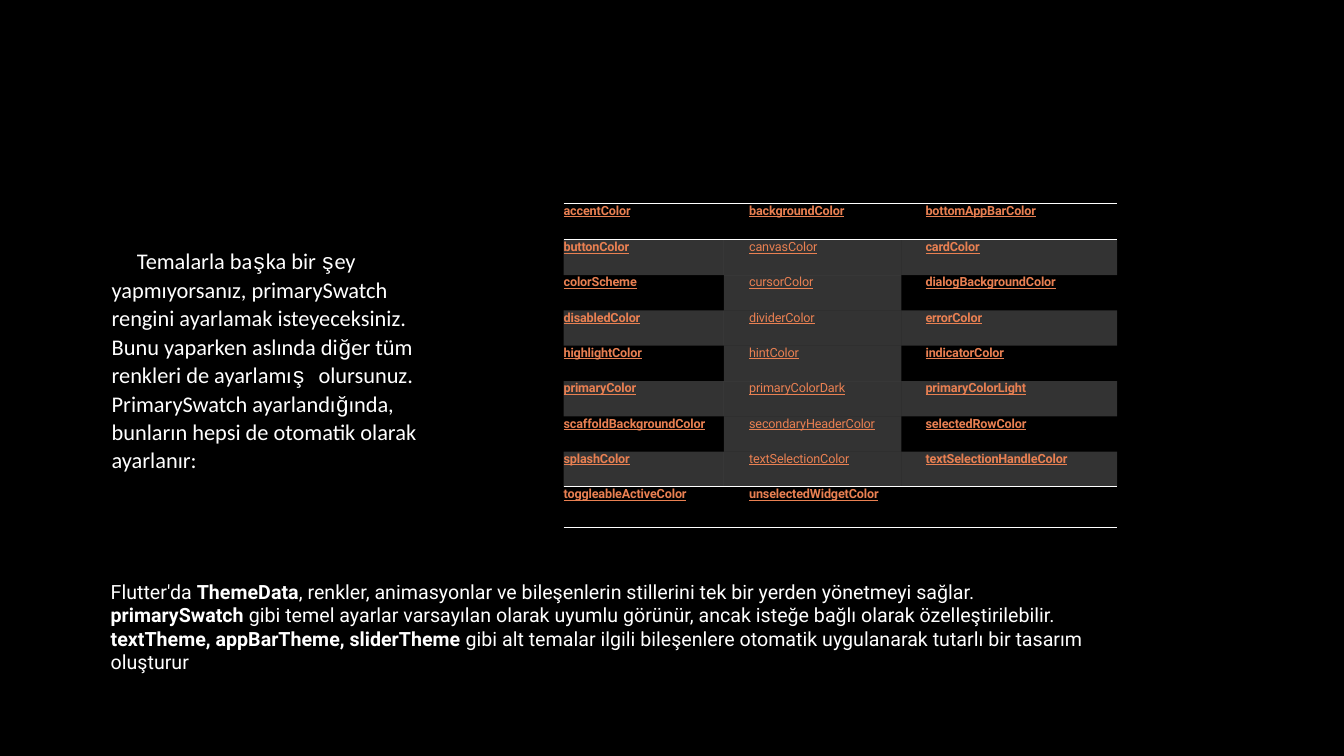
from lxml import etree
from pptx import Presentation
from pptx.dml.color import RGBColor
from pptx.oxml.ns import qn
from pptx.util import Inches, Pt

WHITE = RGBColor(0xFF, 0xFF, 0xFF)
BLACK = RGBColor(0, 0, 0)
ORANGE = RGBColor(0xE9, 0x80, 0x52)
NO_TABLE_STYLE = "{2D5ABB26-0587-4C30-8999-92F81FD0307C}"

COLOR_NAMES = [
    ("accentColor", "backgroundColor", "bottomAppBarColor"),
    ("buttonColor", "canvasColor", "cardColor"),
    ("colorScheme", "cursorColor", "dialogBackgroundColor"),
    ("disabledColor", "dividerColor", "errorColor"),
    ("highlightColor", "hintColor", "indicatorColor"),
    ("primaryColor", "primaryColorDark", "primaryColorLight"),
    ("scaffoldBackgroundColor", "secondaryHeaderColor", "selectedRowColor"),
    ("splashColor", "textSelectionColor", "textSelectionHandleColor"),
    ("toggleableActiveColor", "unselectedWidgetColor", ""),
]
COLUMN_WIDTHS = (1.59, 1.76, 2.14)
COLUMN_INDENTS = (0, 0.25, 0.24)
ROW_HEIGHTS = [0.36] + [0.35] * 7 + [0.4]

# Odd pieces are set in Courier New
SWATCH_PIECES = (
    "Temalarla ba", "ş", "ka bir ", "ş",
    "ey yapmıyorsanız, primarySwatch rengini ayarlamak isteyeceksiniz. "
    "Bunu yaparken aslında di", "ğ", "er tüm renkleri de ayarlamı", "ş ",
    "olursunuz. PrimarySwatch ayarlandı", "ğ",
    "ında, bunların hepsi de otomatik olarak ayarlanır:",
)
# Odd pieces are bold
THEME_PIECES = (
    "Flutter'da ", "ThemeData",
    ", renkler, animasyonlar ve bileşenlerin stillerini tek bir yerden yönetmeyi sağlar. ",
    "primarySwatch",
    " gibi temel ayarlar varsayılan olarak uyumlu görünür, ancak isteğe bağlı olarak özelleştirilebilir. ",
    "textTheme, appBarTheme, sliderTheme",
    " gibi alt temalar ilgili bileşenlere otomatik uygulanarak tutarlı bir tasarım oluşturur",
)


def add_paragraph_box(slide, box, pieces, size):
    """Add a wrapped white text box; return its paragraph."""
    frame = slide.shapes.add_textbox(*map(Inches, box)).text_frame
    frame.word_wrap = True
    paragraph = frame.paragraphs[0]
    paragraph.font.size = Pt(size)
    paragraph.font.color.rgb = WHITE
    for piece in pieces:
        paragraph.add_run().text = piece
    return paragraph


def add_rules(cell):
    """Draw white lines above and below a cell."""
    properties = cell._tc.get_or_add_tcPr()
    for side in ("a:lnT", "a:lnB"):
        line = etree.SubElement(properties, qn(side), w=str(Pt(1)))
        fill = etree.SubElement(line, qn("a:solidFill"))
        etree.SubElement(fill, qn("a:srgbClr"), val=str(WHITE))


def shade(cell):
    """Fill a cell with white at 20 % opacity."""
    cell.fill.solid()
    cell.fill.fore_color.rgb = WHITE
    color = cell._tc.tcPr.find(".//" + qn("a:srgbClr"))
    etree.SubElement(color, qn("a:alpha"), val="20000")


def write_name(cell, name, indent, bold, space_before):
    cell.margin_left = cell.margin_right = cell.margin_top = cell.margin_bottom = 0
    paragraph = cell.text_frame.paragraphs[0]
    paragraph.space_before = Pt(space_before)
    font = paragraph.font
    font.name, font.size = "Roboto", Pt(9)
    font.bold, font.underline = bold, True
    font.color.rgb = ORANGE
    properties = paragraph._p.pPr
    properties.set("marL", str(Inches(indent)))
    properties.find(qn("a:defRPr")).set("spc", "-10")
    if name:
        paragraph.add_run().text = name


def add_color_table(slide):
    last = len(COLOR_NAMES) - 1
    frame = slide.shapes.add_table(
        len(COLOR_NAMES), len(COLUMN_WIDTHS), Inches(5.59), Inches(2.02),
        Inches(sum(COLUMN_WIDTHS)), Inches(sum(ROW_HEIGHTS)))
    table = frame.table
    table.first_row = table.horz_banding = False
    table._tbl.tblPr.find(qn("a:tableStyleId")).text = NO_TABLE_STYLE
    for column, width in zip(table.columns, COLUMN_WIDTHS):
        column.width = Inches(width)
    for row, height in zip(table.rows, ROW_HEIGHTS):
        row.height = Inches(height)
    for r, names in enumerate(COLOR_NAMES):
        edge_row = r in (0, last)
        for c, name in enumerate(names):
            cell = table.cell(r, c)
            write_name(cell, name, COLUMN_INDENTS[c], edge_row or c != 1,
                       5.2 if r == 0 else 4.7)
            if edge_row:
                add_rules(cell)
            if not edge_row and (r % 2 or c == 1):
                shade(cell)
            else:
                cell.fill.background()


def main():
    presentation = Presentation()
    presentation.slide_width = Inches(13.33)
    presentation.slide_height = Inches(7.5)
    slide = presentation.slides.add_slide(presentation.slide_layouts[6])
    slide.background.fill.solid()
    slide.background.fill.fore_color.rgb = BLACK

    add_color_table(slide)

    swatch = add_paragraph_box(slide, (1, 2.39, 3.57, 2.37), SWATCH_PIECES, 16)
    swatch.line_spacing = 1.06
    swatch.space_before = Pt(2.1)
    swatch._p.pPr.set("marL", str(Inches(0.01)))
    swatch._p.pPr.set("indent", str(Inches(0.25)))
    for i, run in enumerate(swatch.runs):
        run.font.name = "Courier New" if i % 2 else "Calibri"

    theme = add_paragraph_box(slide, (1, 5.7, 9.87, 1.04), THEME_PIECES, 14)
    theme.font.name = "Roboto"
    for run in theme.runs[1::2]:
        run.font.bold = True

    presentation.save("out.pptx")


if __name__ == "__main__":
    main()
